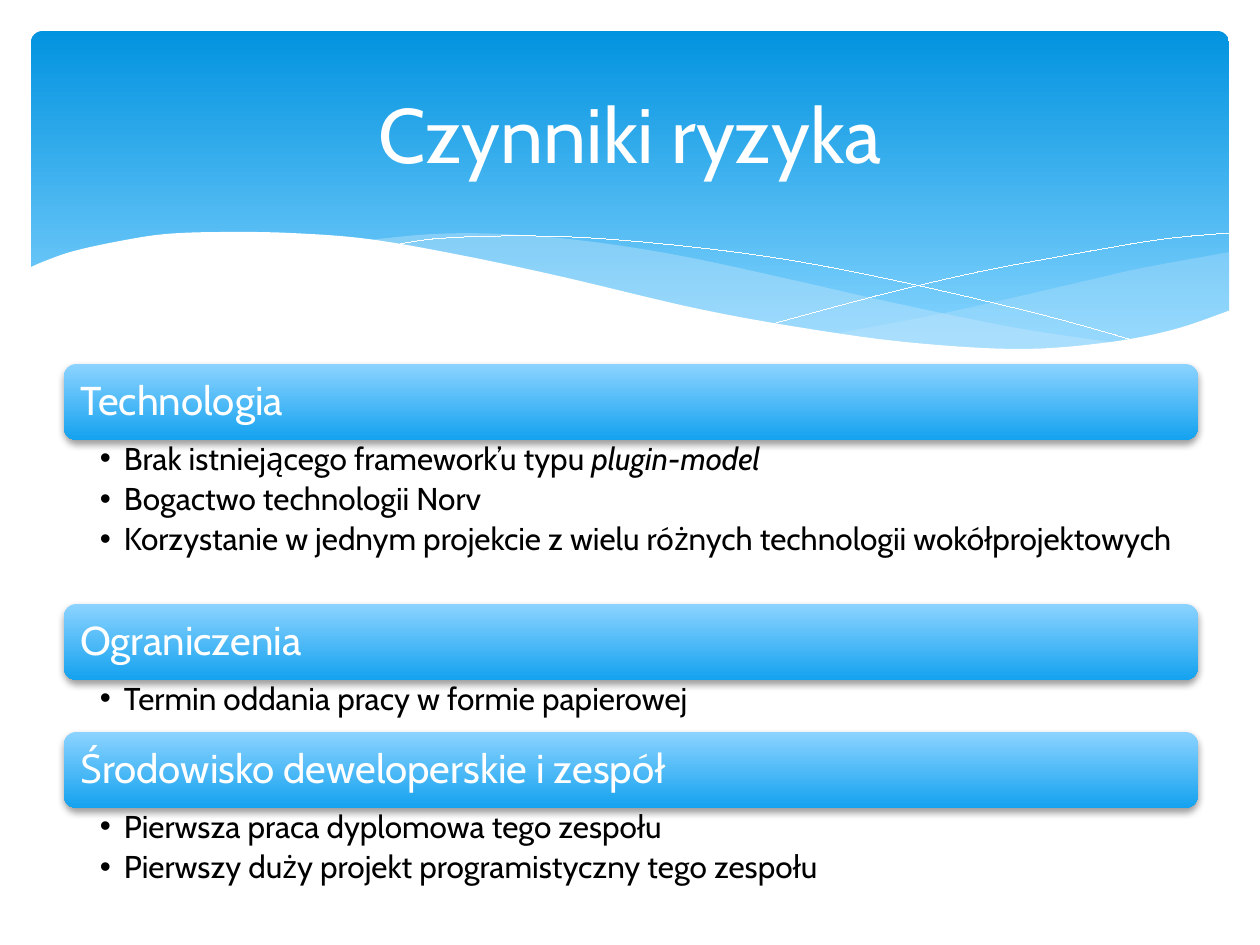
from lxml import etree
from pptx import Presentation
from pptx.dml.color import RGBColor
from pptx.enum.shapes import MSO_SHAPE
from pptx.enum.text import MSO_ANCHOR, PP_ALIGN
from pptx.oxml.ns import qn
from pptx.util import Pt

ROUND_RECT = MSO_SHAPE.ROUNDED_RECTANGLE
TOP, MIDDLE = MSO_ANCHOR.TOP, MSO_ANCHOR.MIDDLE
LEFT, CENTER = PP_ALIGN.LEFT, PP_ALIGN.CENTER

PX = 914400 / 126
FONT = "Cabin"
WHITE, BLACK, PALE = "FFFFFF", "000000", "C6E7FC"

# Wave outlines, as knots relative to the banner's top left corner
RIGHT_WAVE = [
    [(1199, 221), (1111, 237), (1054, 250), (918, 281), (802, 303)],
    [(802, 303), (875, 312), (953, 318), (1021, 318), (1089, 312),
     (1147, 299), (1199, 280)],
]
MIDDLE_WAVE = [
    [(1094, 313), (986, 297), (859, 271), (762, 249), (651, 225), (555, 210),
     (472, 203), (402, 203), (329, 210)],
    [(329, 210), (425, 225), (535, 249), (682, 281), (807, 304), (911, 317),
     (1000, 319), (1061, 317), (1094, 313)],
]
FALLING_LINE = [[(358, 215), (402, 208), (474, 205), (560, 207), (670, 217),
                 (770, 231), (885, 254), (1016, 285), (1112, 312)]]
RISING_LINE = [[(741, 293), (845, 265), (947, 241), (1060, 220), (1133, 208),
                (1198, 202)]]
WHITE_WAVE = [
    [(1200, 279), (1141, 299), (1072, 312), (988, 318), (884, 312), (785, 299),
     (668, 278), (532, 246), (429, 224), (337, 208), (259, 202), (192, 201),
     (135, 203), (89, 210), (43, 220), (14, 230), (-2, 237)],
    [(-2, 384), (1200, 384)],
]

# Heading, height of the list, list items as (text, italic) runs
RISKS = [
    ("Technologia", 164, [
        [("Brak istniejącego framework’u typu ", False), ("plugin-model", True)],
        [("Bogactwo technologii Norv", False)],
        [("Korzystanie w jednym projekcie z wielu różnych technologii "
          "wokółprojektowych", False)],
    ]),
    ("Ograniczenia", 52, [
        [("Termin oddania pracy w formie papierowej", False)],
    ]),
    ("Środowisko deweloperskie i zespół", 86, [
        [("Pierwsza praca dyplomowa tego zespołu", False)],
        [("Pierwszy duży projekt programistyczny tego zespołu", False)],
    ]),
]


def emu(px):
    return round(px * PX)


def rgb(color):
    return RGBColor.from_string(color)


def sub(parent, tag, **attrs):
    return etree.SubElement(parent, qn(tag), {k: str(v) for k, v in attrs.items()})


def gradient_bar(slide, x, y, w, h, top, bottom, end=1.0):
    sp = slide.shapes.add_shape(ROUND_RECT, emu(x), emu(y), emu(w), emu(h))
    sp.shadow.inherit = False
    sp.line.fill.background()
    sp.fill.gradient()
    sp.fill.gradient_angle = 270
    for stop, color, pos in zip(sp.fill.gradient_stops, (top, bottom), (0, end)):
        stop.color.rgb = rgb(color)
        stop.position = pos
    return sp


def smooth(knots, steps=8):
    """Sample a Catmull-Rom curve through the knots."""
    if len(knots) < 3:
        return knots
    pts = [knots[0], *knots, knots[-1]]
    out = [knots[0]]
    for a, b, c, d in zip(pts, pts[1:], pts[2:], pts[3:]):
        for i in range(1, steps + 1):
            t = i / steps
            out.append(tuple(
                (2 * q + (r - p) * t + (2 * p - 5 * q + 4 * r - s) * t ** 2
                 + (3 * q - p - 3 * r + s) * t ** 3) / 2
                for p, q, r, s in zip(a, b, c, d)))
    return out


def wave(slide, x, y, curves, fill=None, opacity=100):
    """Draw a filled wave, or a hairline when no fill is given."""
    pts = [(emu(x + px), emu(y + py)) for c in curves for px, py in smooth(c)]
    builder = slide.shapes.build_freeform(*pts[0])
    builder.add_line_segments(pts[1:], close=fill is not None)
    sp = builder.convert_to_shape()
    sp.shadow.inherit = False
    if fill is None:
        sp.fill.background()
        sp.line.color.rgb = rgb(WHITE)
        sp.line.width = 1
        return
    sp.line.fill.background()
    sp.fill.solid()
    sp.fill.fore_color.rgb = rgb(fill)
    if opacity < 100:
        clr = sp._element.spPr.find(f"{qn('a:solidFill')}/{qn('a:srgbClr')}")
        sub(clr, "a:alpha", val=opacity * 1000)


def text_box(slide, x, y, w, h, paragraphs, size, color, anchor=MIDDLE,
             align=LEFT, insets=(12, 12, 12, 12), spacing=None, bullets=False):
    tf = slide.shapes.add_textbox(emu(x), emu(y), emu(w), emu(h)).text_frame
    sides = ("margin_left", "margin_top", "margin_right", "margin_bottom")
    frame = dict(zip(sides, map(emu, insets)), word_wrap=True,
                 vertical_anchor=anchor)
    for name, value in frame.items():
        setattr(tf, name, value)
    for i, runs in enumerate(paragraphs):
        p = tf.add_paragraph() if i else tf.paragraphs[0]
        for name, value in {"alignment": align, **(spacing or {})}.items():
            setattr(p, name, value)
        if bullets:
            pPr = p._p.get_or_add_pPr()
            pPr.set("marL", str(emu(24)))
            pPr.set("indent", str(emu(-24)))
            sub(pPr, "a:buFont", typeface="Arial")
            sub(pPr, "a:buChar", char="•")
        for text, italic in runs:
            r = p.add_run()
            r.text = text
            font = {"name": FONT, "size": Pt(size), "italic": italic}
            for name, value in font.items():
                setattr(r.font, name, value)
            r.font.color.rgb = rgb(color)


def banner(slide, x, y, w, h):
    bar = gradient_bar(slide, x, y, w, h, "0293E0", "83D3FE", 0.9)
    bar.adjustments[0] = 0.034
    wave(slide, x, y, RIGHT_WAVE, PALE, 29)
    wave(slide, x, y, MIDDLE_WAVE, PALE, 40)
    wave(slide, x, y, FALLING_LINE)
    wave(slide, x, y, RISING_LINE)
    wave(slide, x, y, WHITE_WAVE, WHITE)
    text_box(slide, x + 32, y + 16, w - 64, 172, [[("Czynniki ryzyka", False)]],
             44, WHITE, align=CENTER, insets=(13, 6, 13, 6))


def add_shadow(sp):
    effects = sp._element.spPr.find(qn("a:effectLst"))
    shadow = sub(effects, "a:outerShdw", blurRad=Pt(4), dist=Pt(2),
                 dir=90 * 60000, rotWithShape=0)
    sub(sub(shadow, "a:srgbClr", val=BLACK), "a:alpha", val=38000)


def risk_section(slide, x, y, w, heading, list_h, items, head_h=76):
    add_shadow(gradient_bar(slide, x, y, w, head_h, "8CD3FF", "14A2EF"))
    text_box(slide, x + 4, y + 4, w - 8, head_h - 8, [[(heading, False)]],
             23, WHITE, spacing={"line_spacing": 0.9})
    text_box(slide, x, y + head_h, w, list_h, items, 18, BLACK, anchor=TOP,
             insets=(36, 3, 23, 3), bullets=True,
             spacing={"line_spacing": 0.9, "space_after": Pt(3.6)})
    return y + head_h + list_h


def main():
    prs = Presentation()
    prs.slide_width, prs.slide_height = emu(1260), emu(945)
    slide = prs.slides.add_slide(prs.slide_layouts[6])
    banner(slide, 31, 31, 1198, 340)
    y = 364
    for heading, list_h, items in RISKS:
        y = risk_section(slide, 64, y, 1134, heading, list_h, items)
    prs.save("out.pptx")


if __name__ == "__main__":
    main()
